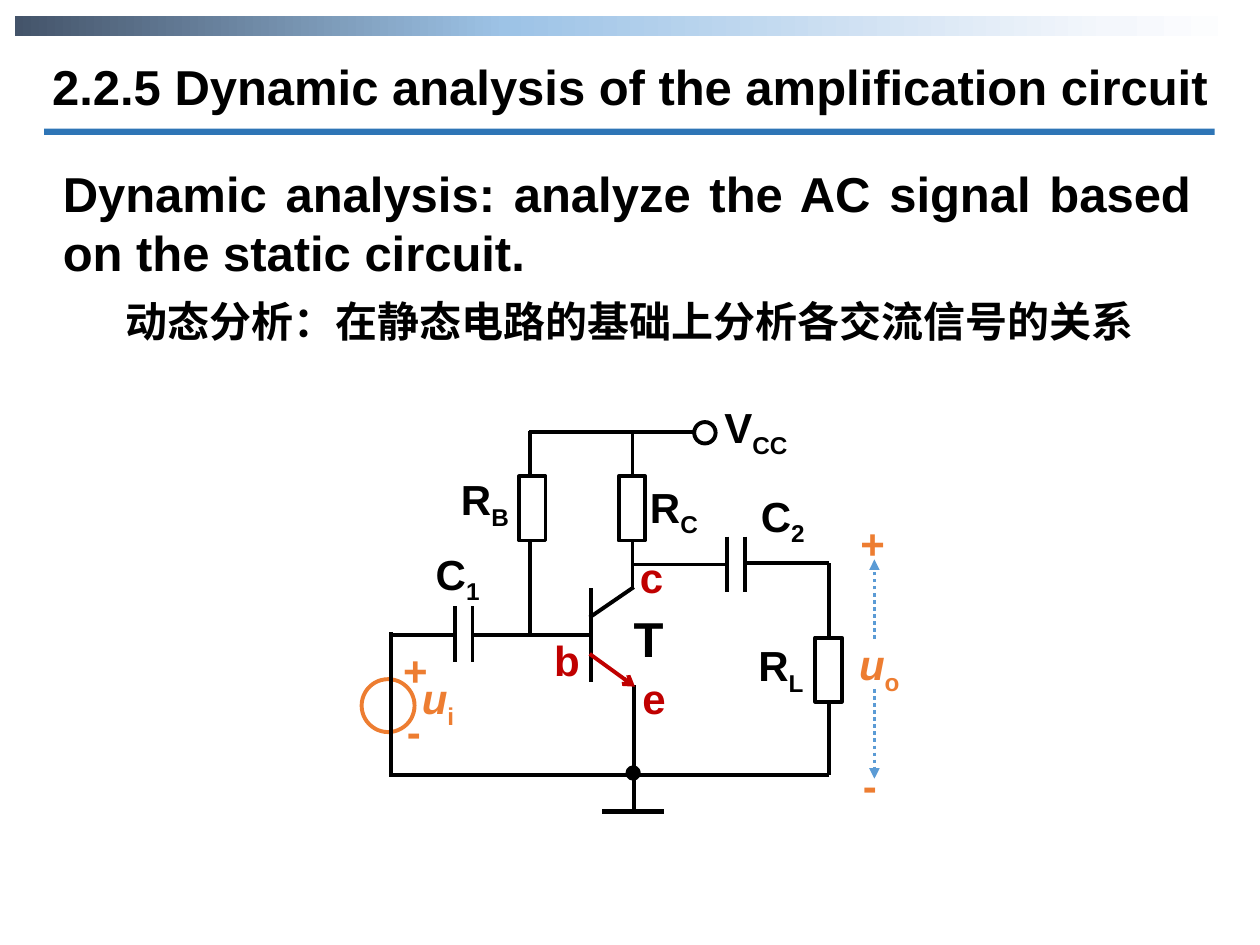
from dataclasses import dataclass

from lxml.etree import SubElement
from pptx import Presentation
from pptx.dml.color import RGBColor
from pptx.enum.dml import MSO_LINE_DASH_STYLE as Dash
from pptx.enum.shapes import MSO_CONNECTOR as Connector, MSO_SHAPE as Shape
from pptx.enum.text import MSO_ANCHOR as Anchor, MSO_AUTO_SIZE as AutoSize, PP_ALIGN as Align
from pptx.oxml.ns import qn
from pptx.util import Pt

PX = 9144  # 100 px to the inch


@dataclass(frozen=True)
class Theme:
    ink: str = "000000"
    paper: str = "FFFFFF"
    rule: str = "2E75B6"
    signal: str = "ED7D31"
    terminal: str = "C00000"
    span: str = "5B9BD5"
    band: tuple = ((0, "44546A"), (40, "9DC3E6"), (89, "F4F7FC"), (100, "FFFFFF"))
    latin: str = "Arial"
    chinese: str = "Noto Sans CJK SC"
    heading: int = 28
    label: int = 24
    wire: float = 2.25
    ground: float = 3
    dotted: float = 2


THEME = Theme()


def rgb(color):
    return RGBColor.from_string(color)


def place(shape, left, top, width, height):
    shape.left, shape.top = left * PX, top * PX
    shape.width, shape.height = width * PX, height * PX


def add_run(paragraph, text, size, color, italic=False, subscript=False, font=THEME.latin):
    run = paragraph.add_run()
    run.text = text
    run.font.size = Pt(size)
    run.font.bold = True
    run.font.italic = italic
    run.font.name = font
    run.font.color.rgb = rgb(color)
    properties = run.font._element
    SubElement(properties, qn("a:ea")).set("typeface", font)
    if subscript:
        properties.set("baseline", "-25000")


def add_title(slide, text, box):
    title = slide.shapes.title
    place(title, *box)
    frame = title.text_frame
    frame.auto_size = AutoSize.NONE
    frame.vertical_anchor = Anchor.TOP
    frame.paragraphs[0].alignment = Align.CENTER
    add_run(frame.paragraphs[0], text, THEME.heading, THEME.ink)


def add_text(slide, box, text, subscript="", size=THEME.label, color=THEME.ink,
             italic=False, align=Align.LEFT, font=THEME.latin):
    text_box = slide.shapes.add_textbox(*(length * PX for length in box))
    frame = text_box.text_frame
    frame.word_wrap = True
    paragraph = frame.paragraphs[0]
    paragraph.alignment = align
    add_run(paragraph, text, size, color, italic, font=font)
    if subscript:
        add_run(paragraph, subscript, size, color, subscript=True, font=font)


def add_shape(slide, kind, box, fill=None, line=None):
    shape = slide.shapes.add_shape(kind, *(length * PX for length in box))
    shape.shadow.inherit = False
    if fill:
        shape.fill.solid()
        shape.fill.fore_color.rgb = rgb(fill)
    else:
        shape.fill.background()
    if line:
        shape.line.color.rgb = rgb(line)
        shape.line.width = Pt(THEME.wire)
    else:
        shape.line.fill.background()
    return shape


def add_band(slide, box):
    band = add_shape(slide, Shape.RECTANGLE, box)
    band.fill.gradient()
    band.fill.gradient_angle = 0
    stops = band._element.spPr.find(qn("a:gradFill")).find(qn("a:gsLst"))
    for stop in list(stops):
        stops.remove(stop)
    for percent, color in THEME.band:
        stop = SubElement(stops, qn("a:gs"), pos=str(percent * 1000))
        SubElement(stop, qn("a:srgbClr"), val=color)


def add_line(slide, start, end, color=THEME.ink, width=THEME.wire, dash=None, arrow=None):
    line = slide.shapes.add_connector(
        Connector.STRAIGHT, *(length * PX for length in (*start, *end)))
    line.line.color.rgb = rgb(color)
    line.line.width = Pt(width)
    if dash:
        line.line.dash_style = dash
    if arrow:
        SubElement(line.line._get_or_add_ln(), qn("a:tailEnd"), type=arrow)
    SubElement(line._element.spPr, qn("a:effectLst"))


def add_resistor(slide, center_x, center_y):
    width, height = 21, 51
    box = (center_x - width // 2, center_y - height // 2, width, height)
    add_shape(slide, Shape.RECTANGLE, box, THEME.paper, THEME.ink)


def add_capacitor(slide, left, middle):
    gap, half_plate = 14, 22
    for x in (left, left + gap):
        add_line(slide, (x, middle - half_plate), (x, middle + half_plate))


def add_circle(slide, left, top, diameter, fill=None, line=THEME.ink):
    add_shape(slide, Shape.OVAL, (left, top, diameter, diameter), fill, line)


def add_transistor(slide):
    add_line(slide, (469, 467), (469, 541))
    add_line(slide, (468, 490), (503, 466))
    add_line(slide, (468, 519), (504, 545), THEME.terminal, arrow="arrow")
    add_text(slide, (493, 478, 53, 57), "T", size=THEME.heading)
    for name, left, top in (("b", 430, 499), ("e", 500, 529), ("c", 498, 433)):
        add_text(slide, (left, top, 47, 50), name, color=THEME.terminal)


def add_wires(slide):
    for start, end in (
        ((420, 343), (551, 343)),  # supply rail
        ((421, 342), (421, 504)),  # base resistor branch
        ((502, 342), (502, 467)),  # collector branch
        ((503, 544), (503, 644)),  # emitter to ground
        ((374, 504), (469, 504)),  # base
        ((310, 504), (361, 504)),  # input
        ((310, 502), (310, 617)),  # source branch
        ((310, 615), (658, 615)),  # common rail
        ((502, 448), (577, 448)),  # collector to output capacitor
        ((591, 447), (658, 447)),  # output
        ((658, 447), (658, 615)),  # load branch
    ):
        add_line(slide, start, end)


def add_signals(slide):
    for name, left, top in (("i", 325, 529), ("o", 672, 502)):
        add_text(slide, (left, top, 60, 59), "u", name, color=THEME.signal, italic=True)
    for sign, left, top in (("+", 310, 507), ("-", 313, 555), ("+", 673, 406), ("-", 675, 598)):
        add_text(slide, (left, top, 41, 50), sign, color=THEME.signal)
    for start, end in ((547, 618), (507, 444)):
        add_line(slide, (694, start), (694, end), THEME.span, THEME.dotted,
                 Dash.ROUND_DOT, "triangle")


def add_circuit(slide):
    add_circle(slide, 287, 539, 42, line=THEME.signal)
    add_wires(slide)
    add_line(slide, (478, 644), (527, 644), width=THEME.ground)
    add_circle(slide, 498, 609, 9, THEME.ink)
    add_circle(slide, 551, 335, 17, THEME.paper)
    for center in ((422, 403), (501, 403), (657, 531)):
        add_resistor(slide, *center)
    for left, middle in ((361, 503), (577, 448)):
        add_capacitor(slide, left, middle)
    add_transistor(slide)
    for letter, index, left, top in (
        ("V", "CC", 565, 314), ("R", "B", 356, 371), ("R", "C", 506, 377),
        ("R", "L", 592, 503), ("C", "1", 336, 430), ("C", "2", 594, 384),
    ):
        add_text(slide, (left, top, 79, 59), letter, index)
    add_signals(slide)


def main():
    presentation = Presentation()
    presentation.slide_width, presentation.slide_height = 1000 * PX, 750 * PX
    slide = presentation.slides.add_slide(presentation.slide_layouts[5])
    add_band(slide, (12, 13, 976, 16))
    add_title(slide, "2.2.5 Dynamic analysis of the amplification circuit", (25, 40, 950, 57))
    add_shape(slide, Shape.RECTANGLE, (35, 102, 929, 5), THEME.rule)
    add_text(slide, (40, 125, 915, 104),
             "Dynamic analysis: analyze the AC signal based on the static circuit.",
             size=THEME.heading, align=Align.JUSTIFY)
    add_circuit(slide)
    add_text(slide, (90, 230, 915, 50), "动态分析：在静态电路的基础上分析各交流信号的关系",
             font=THEME.chinese)
    presentation.save("out.pptx")


if __name__ == "__main__":
    main()
